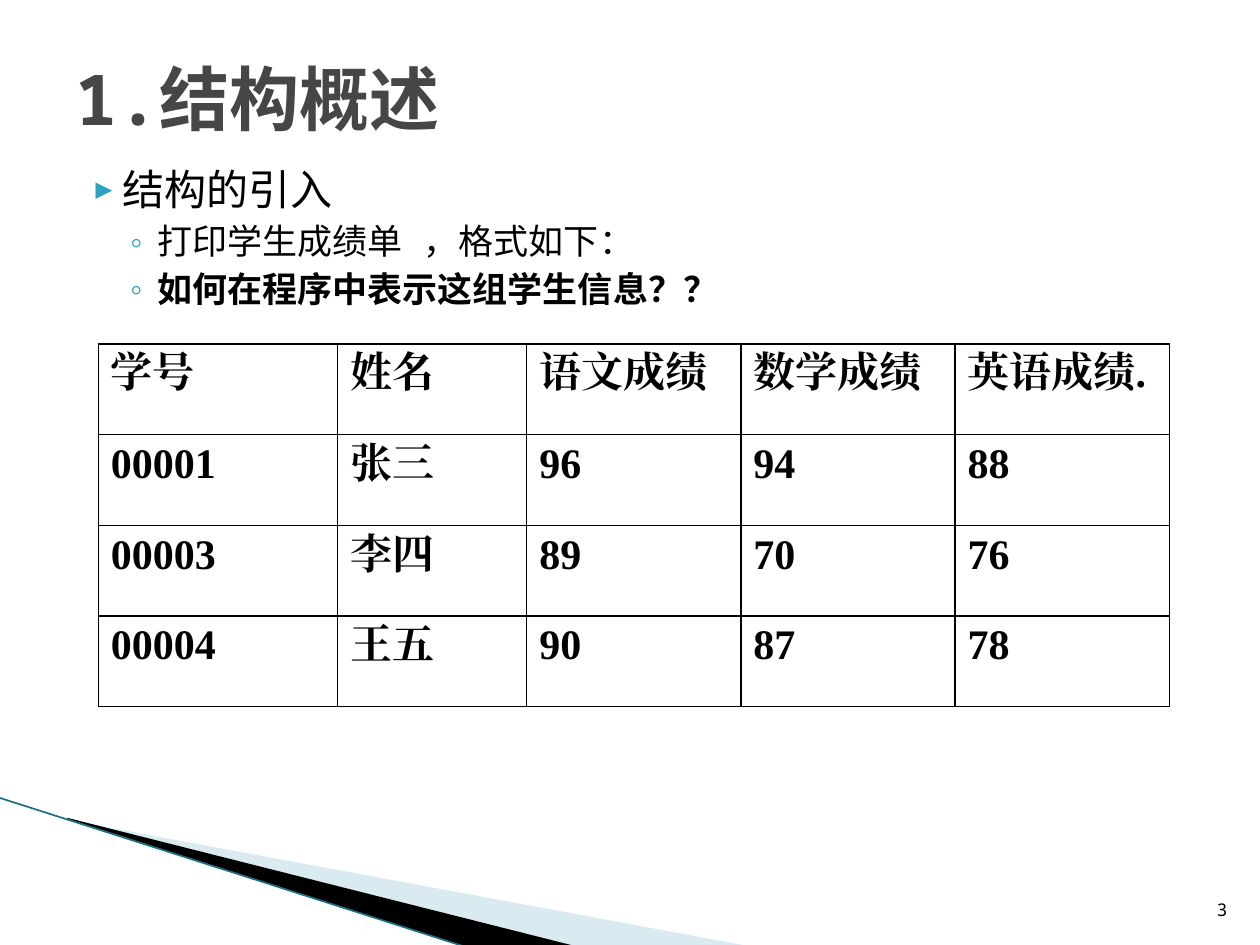
from lxml import etree
from pptx import Presentation
from pptx.dml.color import RGBColor
from pptx.enum.shapes import MSO_CONNECTOR
from pptx.enum.text import MSO_ANCHOR, PP_ALIGN
from pptx.oxml.ns import qn
from pptx.util import Inches, Pt

STRAIGHT = MSO_CONNECTOR.STRAIGHT
TOP, MIDDLE, BOTTOM = MSO_ANCHOR.TOP, MSO_ANCHOR.MIDDLE, MSO_ANCHOR.BOTTOM
LEFT, RIGHT = PP_ALIGN.LEFT, PP_ALIGN.RIGHT
MONO, SERIF = "Noto Sans Mono", "Times New Roman"
BLACK, GREY, ACCENT = "000000", "464646", "2DA2BF"
PALE_BLUE, TEAL = "A0CBDC", "1B6F82"

GRADES = [
    ["学号", "姓名", "语文成绩", "数学成绩", "英语成绩."],
    ["00001", "张三", "96", "94", "88"],
    ["00003", "李四", "89", "70", "76"],
    ["00004", "王五", "90", "87", "78"],
]
GRADE_WIDTHS = [1.9, 1.5, 1.7, 1.7, 1.7]
ROW_HEIGHT = 0.72


def color(hex_value):
    """Turn a hex string into a colour."""
    return RGBColor.from_string(hex_value)


def add_xml(parent, tag, **attributes):
    """Append a DrawingML element to its parent."""
    values = {key: str(value) for key, value in attributes.items()}
    return etree.SubElement(parent, qn(tag), values)


def write(paragraph, text, size, font=MONO, fill=BLACK, bold=False):
    """Add one formatted run to a paragraph."""
    run = paragraph.add_run()
    run.text = text
    formats = {"size": Pt(size), "name": font, "bold": bold}
    for key, value in formats.items():
        setattr(run.font, key, value)
    run.font.color.rgb = color(fill)
    add_xml(run.font._element, "a:ea", typeface=font)


def indent(paragraph, margin, hanging):
    """Give a paragraph a hanging indent."""
    properties = paragraph._p.get_or_add_pPr()
    properties.set("marL", str(Inches(margin)))
    properties.set("indent", str(-Inches(hanging)))
    return properties


def add_frame(slide, left, top, width, height, anchor):
    """Add a wrapping text box and return its text frame."""
    box = slide.shapes.add_textbox(
        Inches(left), Inches(top), Inches(width), Inches(height))
    frame = box.text_frame
    frame.word_wrap = True
    frame.vertical_anchor = anchor
    return frame


def add_label(slide, place, anchor, align, text, size, **style):
    """Add a text box with a single line."""
    paragraph = add_frame(slide, *place, anchor).paragraphs[0]
    paragraph.alignment = align
    write(paragraph, text, size, **style)


def add_bullet(paragraph, level, text, bold=False):
    """Fill a paragraph as a bullet of the outline."""
    margin, hanging, before, mark, mark_size, size = [
        (0.4, 0.28, 4, "▶", 68, 24),
        (0.68, 0.25, 3.2, "◦", 100, 20),
    ][level]
    paragraph.level = level
    paragraph.space_before = Pt(before)
    properties = indent(paragraph, margin, hanging)
    add_xml(add_xml(properties, "a:buClr"), "a:srgbClr", val=ACCENT)
    add_xml(properties, "a:buSzPct", val=mark_size * 1000)
    add_xml(properties, "a:buFont", typeface=MONO)
    add_xml(properties, "a:buChar", char=mark)
    write(paragraph, text, size, bold=bold)


def add_outline(slide):
    """Add the bulleted outline."""
    frame = add_frame(slide, 0.47, 1.25, 9.22, 5.31, TOP)
    add_bullet(frame.paragraphs[0], 0, "结构的引入")
    add_bullet(frame.add_paragraph(), 1, "打印学生成绩单 ，格式如下：")
    add_bullet(frame.add_paragraph(), 1, "如何在程序中表示这组学生信息？？", bold=True)


def add_wedge(slide, points, fill, opacity=100):
    """Add a filled corner wedge."""
    corners = [(Inches(x), Inches(y)) for x, y in points]
    builder = slide.shapes.build_freeform(*corners[0])
    builder.add_line_segments(corners[1:])
    wedge = builder.convert_to_shape()
    wedge.shadow.inherit = False
    wedge.fill.solid()
    wedge.fill.fore_color.rgb = color(fill)
    wedge.line.fill.background()
    if opacity < 100:
        tint = wedge._element.spPr.find(".//" + qn("a:srgbClr"))
        add_xml(tint, "a:alpha", val=opacity * 1000)


def add_edge(slide, start, end, stroke, width):
    """Add a straight line."""
    edge = slide.shapes.add_connector(
        STRAIGHT, *[Inches(value) for value in (*start, *end)])
    edge.line.color.rgb = color(stroke)
    edge.line.width = Pt(width)
    add_xml(edge._element.spPr, "a:effectLst")


def add_borders(cell):
    """Draw a thin black border on each side of a cell."""
    properties = cell._tc.get_or_add_tcPr()
    for side in ("a:lnL", "a:lnR", "a:lnT", "a:lnB"):
        border = add_xml(properties, side, w=Pt(1))
        add_xml(add_xml(border, "a:solidFill"), "a:srgbClr", val=BLACK)


def add_grades(slide):
    """Add the table of student grades."""
    table = slide.shapes.add_table(
        len(GRADES), len(GRADE_WIDTHS), Inches(0.78), Inches(2.73),
        Inches(sum(GRADE_WIDTHS)), Inches(ROW_HEIGHT * len(GRADES))).table
    table.first_row = table.horz_banding = False
    for column, width in zip(table.columns, GRADE_WIDTHS):
        column.width = Inches(width)
    for row, record in zip(table.rows, GRADES):
        row.height = Inches(ROW_HEIGHT)
        for cell, text in zip(row.cells, record):
            add_borders(cell)
            cell.fill.background()
            paragraph = cell.text_frame.paragraphs[0]
            indent(paragraph, 0.52, 0.52)
            write(paragraph, text, 24, font=SERIF, bold=True)


def main():
    """Build and save the slide."""
    deck = Presentation()
    deck.slide_width, deck.slide_height = Inches(10), Inches(7.5)
    slide = deck.slides.add_slide(deck.slide_layouts[6])
    add_wedge(slide, [(0.55, 6.51), (5.95, 7.51), (4.56, 7.51), (0.55, 6.5)],
              PALE_BLUE, opacity=40)
    add_wedge(slide, [(0.53, 6.49), (4.57, 7.51), (3.72, 7.52), (0.54, 6.5)],
              BLACK)
    add_edge(slide, (-0.01, 6.33), (3.71, 7.52), TEAL, 0.95)
    add_outline(slide)
    add_label(slide, (0.5, 0.3, 9, 0.95), MIDDLE, LEFT, "1.结构概述", 40,
              fill=GREY, bold=True)
    add_label(slide, (7.27, 6.95, 2.57, 0.4), BOTTOM, RIGHT, "3", 10)
    add_grades(slide)
    deck.save("out.pptx")


if __name__ == "__main__":
    main()
